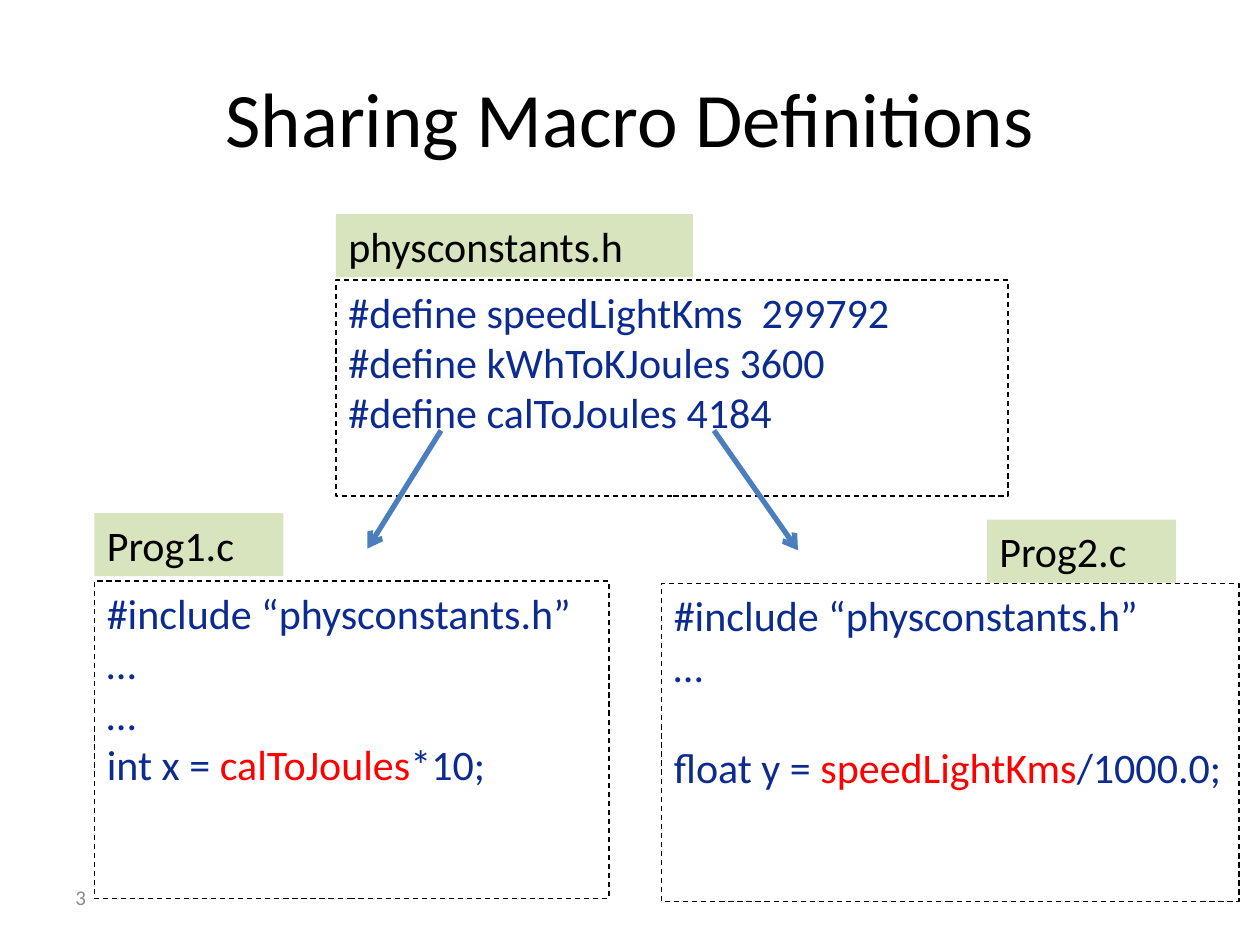
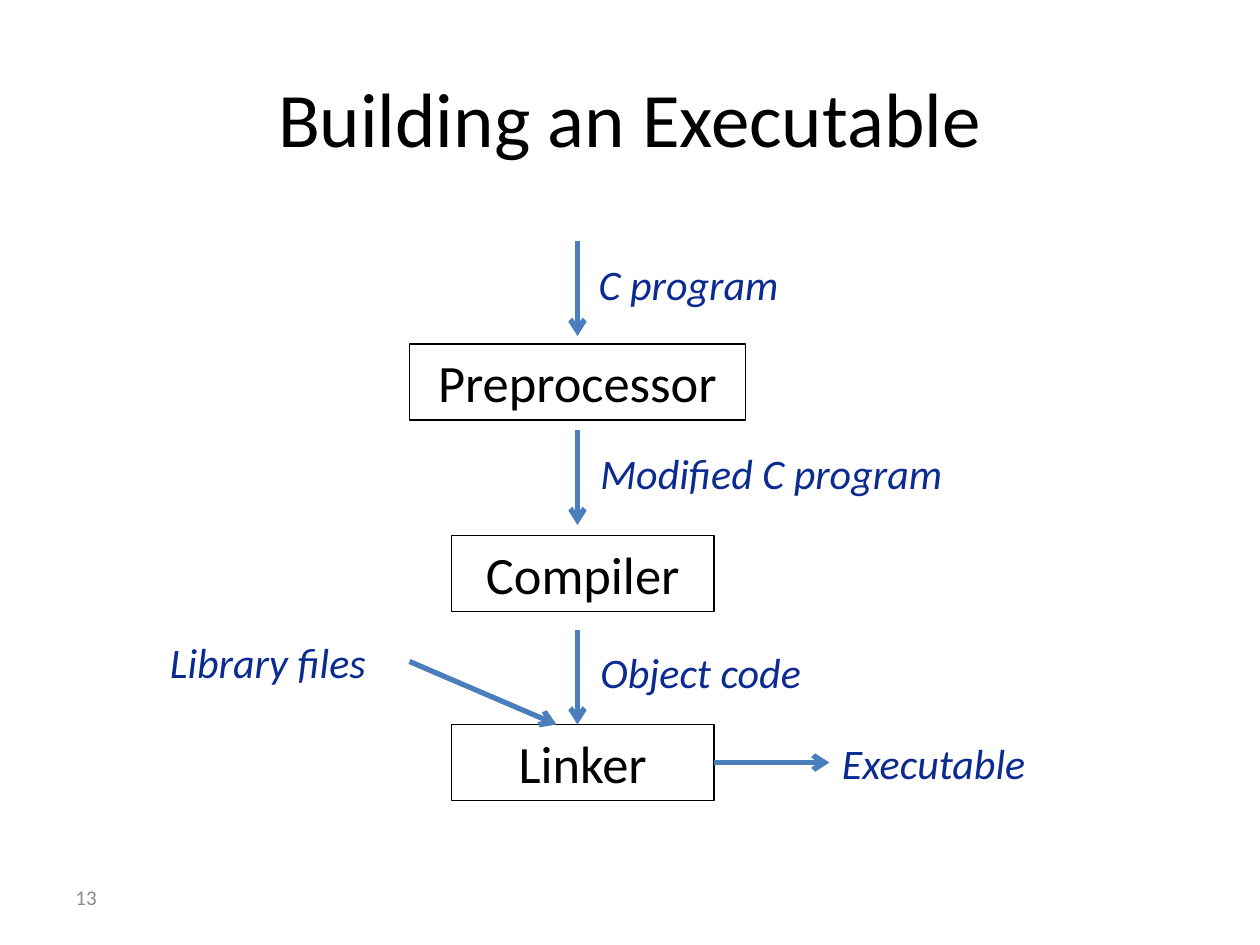
from dataclasses import dataclass

from lxml import etree
from pptx import Presentation
from pptx.dml.color import RGBColor
from pptx.enum.dml import MSO_LINE
from pptx.enum.shapes import MSO_CONNECTOR, MSO_SHAPE
from pptx.enum.text import MSO_ANCHOR, PP_ALIGN
from pptx.oxml.ns import qn
from pptx.util import Pt


@dataclass(frozen=True)
class Theme:
    font: str = "Calibri"
    ink: str = "000000"
    code: str = "0B2B91"
    macro: str = "FF0000"
    tab: str = "D7E4BD"
    arrow: str = "4B7EBC"
    muted: str = "8C8C8C"
    title_size: float = 44
    stage_size: float = 30
    body_size: float = 24
    number_size: float = 12
    line_height: float = 29.3  # one line of body text


class Deck:
    """Holds the theme and the slide being drawn; lengths are in points."""

    def __init__(self, theme):
        self.theme = theme
        self.prs = Presentation()
        self.prs.slide_width, self.prs.slide_height = Pt(720), Pt(540)
        self.slide = None

    def new_slide(self, title, number):
        t = self.theme
        self.slide = self.prs.slides.add_slide(self.prs.slide_layouts[6])
        self.text((36, 21.6, 648, 90), title, t.title_size, t.ink,
                  align=PP_ALIGN.CENTER, anchor=MSO_ANCHOR.MIDDLE)
        self.text((36, 498.25, 168, 28.75), number, t.number_size, t.muted,
                  anchor=MSO_ANCHOR.MIDDLE)

    def text(self, box, words, size, color, **style):
        shape = self.slide.shapes.add_textbox(*map(Pt, box))
        self.set_lines(shape, [words], size, color, **style)

    def set_lines(self, shape, lines, size, color, align=PP_ALIGN.LEFT,
                  anchor=MSO_ANCHOR.TOP, italic=False):
        """Each line is a string, or a list of (words, color) runs."""
        frame = shape.text_frame
        frame.word_wrap = True
        frame.vertical_anchor = anchor
        for i, line in enumerate(lines):
            para = frame.add_paragraph() if i else frame.paragraphs[0]
            para.alignment = align
            runs = [(line, color)] if isinstance(line, str) else line
            for words, run_color in runs:
                run = para.add_run()
                run.text = words
                run.font.name = self.theme.font
                run.font.size = Pt(size)
                run.font.italic = italic
                run.font.color.rgb = RGBColor.from_string(run_color)

    def rect(self, box, fill=None, border=None, dashed=False):
        shape = self.slide.shapes.add_shape(MSO_SHAPE.RECTANGLE, *map(Pt, box))
        shape.shadow.inherit = False
        if fill:
            shape.fill.solid()
            shape.fill.fore_color.rgb = RGBColor.from_string(fill)
        else:
            shape.fill.background()
        if border:
            shape.line.color.rgb = RGBColor.from_string(self.theme.ink)
            shape.line.width = Pt(border)
            if dashed:
                shape.line.dash_style = MSO_LINE.DASH
        else:
            shape.line.fill.background()
        return shape

    def code_box(self, box, lines, gap_before_last=0):
        shape = self.rect(box, border=0.75, dashed=True)
        self.set_lines(shape, lines, self.theme.body_size, self.theme.code)
        if gap_before_last:
            shape.text_frame.paragraphs[-1].space_before = Pt(gap_before_last)

    def file_tab(self, left, top, width, name):
        shape = self.rect((left, top, width, 36), fill=self.theme.tab)
        self.set_lines(shape, [name], self.theme.body_size, self.theme.ink)

    def stage(self, center, top, width, name, border=0.75):
        shape = self.rect((center - width / 2, top, width, 43.6), border=border)
        self.set_lines(shape, [name], self.theme.stage_size, self.theme.ink,
                       align=PP_ALIGN.CENTER)

    def label(self, left, top, words, width=142):
        self.text((left, top, width, 36), words, self.theme.body_size,
                  self.theme.code, italic=True)

    def arrow(self, x1, y1, x2, y2):
        connector = self.slide.shapes.add_connector(
            MSO_CONNECTOR.STRAIGHT, Pt(x1), Pt(y1), Pt(x2), Pt(y2))
        connector.line.color.rgb = RGBColor.from_string(self.theme.arrow)
        connector.line.width = Pt(3)
        props = connector.element.spPr
        etree.SubElement(props.find(qn("a:ln")), qn("a:tailEnd"), type="arrow")
        etree.SubElement(props, qn("a:effectLst"))


theme = Theme()
deck = Deck(theme)

# Slide: one header shared by two programs
deck.new_slide("Sharing Macro Definitions", "3")
include = "#include “physconstants.h”"
deck.code_box((192, 160, 384, 123.5), [
    "#define speedLightKms  299792",
    "#define kWhToKJoules 3600",
    "#define calToJoules 4184",
])
deck.code_box((54, 332, 294, 181.5), [
    include, "…", "…",
    [("int x = ", theme.code), ("calToJoules", theme.macro), ("*10;", theme.code)],
])
deck.file_tab(192, 122.4, 204, "physconstants.h")
deck.code_box((378, 333.5, 330, 181.5), [
    include, "…",
    [("float y = ", theme.code), ("speedLightKms", theme.macro),
     ("/1000.0;", theme.code)],
], gap_before_last=theme.line_height)
deck.arrow(252, 246, 210, 313.5)
deck.arrow(408, 246, 456, 314.5)
deck.file_tab(54, 293.25, 108, "Prog1.c")
deck.file_tab(564, 297, 108, "Prog2.c")

# Slide: the build chain, top to bottom
deck.new_slide("Building an Executable", "13")
axis = 330
deck.stage(axis, 196.5, 192, "Preprocessor", border=1)
deck.stage(axis + 3, 306, 150, "Compiler")
deck.stage(axis + 3, 414, 150, "Linker")
for top in (138, 246, 360):
    deck.arrow(axis, top, axis, top + 54)
deck.label(335, 144, "C program")
deck.label(336, 252, "Modified C program", width=216)
deck.label(336, 366, "Object code")

# Linker input and result
deck.label(90, 360, "Library files")
deck.arrow(234, 378, 318, 414)
deck.label(474, 417.75, "Executable")
deck.arrow(408, 435.75, 474, 435.75)

deck.prs.save("out.pptx")
